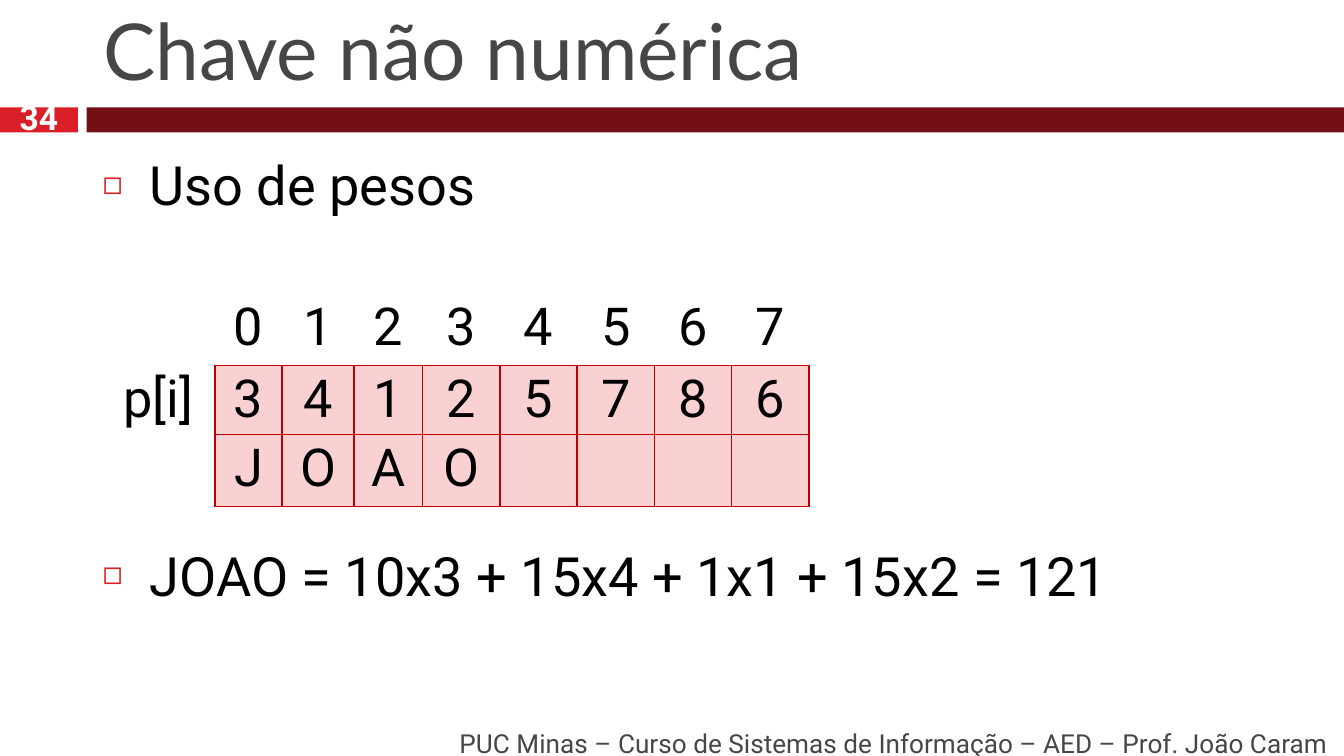
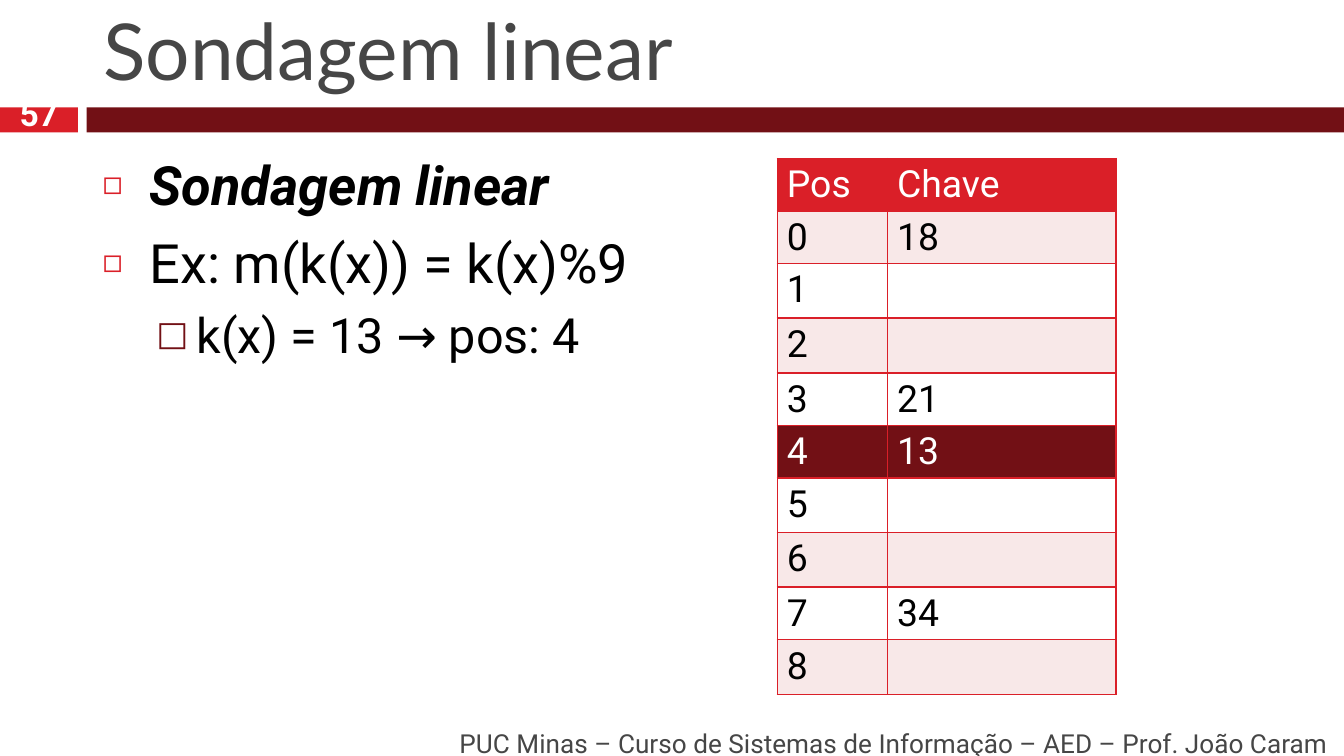
import pptx
import pptx.dml.color
import pptx.enum.shapes
import pptx.enum.text
import pptx.oxml.ns
import pptx.util
from lxml import etree

Pt = pptx.util.Pt
RGB = pptx.dml.color.RGBColor
ALIGN = pptx.enum.text.PP_ALIGN
ANCHOR = pptx.enum.text.MSO_ANCHOR
qn = pptx.oxml.ns.qn

RED = RGB(0xDA, 0x1F, 0x28)
WINE = RGB(0x72, 0x10, 0x15)
CRIMSON = RGB(0xC0, 0x00, 0x00)
PINK = RGB(0xF9, 0xD1, 0xD3)
BLUSH = RGB(0xF8, 0xE8, 0xE8)
GRAY = RGB(0x46, 0x46, 0x46)
BLACK = RGB(0x00, 0x00, 0x00)
WHITE = RGB(0xFF, 0xFF, 0xFF)

HEADING_FONT, BODY_FONT = "Lato", "Roboto"
FOOTER = "PUC Minas – Curso de Sistemas de Informação – AED – Prof. João Caram"
NO_GRID_STYLE = "{2D5ABB26-0587-4C30-8999-92F81FD0307C}"

# Square grid: 100 columns across the slide, 56.25 rows down
COLUMNS, ROWS = 100, 56.25
UNIT = pptx.util.Inches(0.1)

BULLETS = [
    dict(char="◻", color=RED, percent=60, left=3.5, hang=3.5, size=29, space=7),
    dict(char="□", color=WINE, percent=70, left=7, hang=3, size=26, space=5.5),
]
SIDES = {"a:lnL": (0, -1), "a:lnR": (0, 1), "a:lnT": (-1, 0), "a:lnB": (1, 0)}


def grid(*lengths):
    return [round(n * UNIT) for n in lengths]


def apply(obj, formats):
    for name, value in formats.items():
        setattr(obj, name, value)


def add_xml(parent, tag, **attributes):
    child = etree.SubElement(parent, qn(tag))
    for name, value in attributes.items():
        child.set(name, str(value))
    return child


class Deck:
    """Holds the style of the lecture and the slide being filled."""

    def __init__(self):
        self.prs = pptx.Presentation()
        self.prs.slide_width, self.prs.slide_height = grid(COLUMNS, ROWS)
        self.s = None

    def slide(self, number, title, number_spacing=None):
        self.s = self.prs.slides.add_slide(self.prs.slide_layouts[6])
        self.band(0, 5.8, RED)
        self.band(6.45, COLUMNS - 6.45, WINE)
        self.text((6.7, 1.25, 92.2, 6.4), title, 42, GRAY,
                  anchor=ANCHOR.BOTTOM, font=HEADING_FONT)
        self.text((10.6, 53.8, 89.2, 3), FOOTER, 14, GRAY,
                  paragraph={"alignment": ALIGN.RIGHT})
        self.text((0, 7.7, 5.8, 2), number, 18, WHITE, bold=True,
                  paragraph={"alignment": ALIGN.CENTER,
                             "line_spacing": number_spacing})

    def band(self, left, width, color):
        sp = self.s.shapes.add_shape(
            pptx.enum.shapes.MSO_SHAPE.RECTANGLE, *grid(left, 8, width, 1.85))
        sp.shadow.inherit = False
        sp.fill.solid()
        sp.fill.fore_color.rgb = color
        sp.line.fill.background()

    def box(self, place, anchor):
        tf = self.s.shapes.add_textbox(*grid(*place)).text_frame
        apply(tf, {"word_wrap": True, "vertical_anchor": anchor})
        return tf

    def run(self, p, text, size, color, font=BODY_FONT, **formats):
        r = p.add_run()
        r.text = text
        apply(r.font, {"name": font, "size": Pt(size), **formats})
        r.font.color.rgb = color

    def text(self, place, text, size, color, anchor=ANCHOR.MIDDLE,
             paragraph=None, **formats):
        p = self.box(place, anchor).paragraphs[0]
        apply(p, paragraph or {})
        self.run(p, text, size, color, **formats)

    def bullets(self, items):
        """Each item is (level, text, format), where format may set a gap."""
        tf = self.box((6.65, 10.8, 92.2, 42.5), ANCHOR.TOP)
        for i, (level, text, formats) in enumerate(items):
            p = tf.add_paragraph() if i else tf.paragraphs[0]
            style = BULLETS[level]
            pPr = p._p.get_or_add_pPr()
            left, hang = grid(style["left"], style["hang"])
            pPr.set("marL", str(left))
            pPr.set("indent", str(-hang))
            add_xml(add_xml(pPr, "a:buClr"), "a:srgbClr", val=style["color"])
            add_xml(pPr, "a:buSzPct", val=style["percent"] * 1000)
            add_xml(pPr, "a:buFont", typeface=BODY_FONT)
            add_xml(pPr, "a:buChar", char=style["char"])
            gap = formats.pop("gap", style["space"])
            apply(p, {"level": level, "space_before": Pt(gap if i else 0)})
            self.run(p, text, style["size"], BLACK, **formats)

    def table(self, left, top, widths, heights, rows, size, border, look, align):
        """look(row, column) gives the fill, or None, and the text colour."""
        shape = self.s.shapes.add_table(
            len(rows), len(widths),
            *grid(left, top, sum(widths), sum(heights)))
        tbl = shape.table
        apply(tbl, {"first_row": False, "horz_banding": False})
        tbl._tbl.tblPr.find(qn("a:tableStyleId")).text = NO_GRID_STYLE
        for column, width in zip(tbl.columns, grid(*widths)):
            column.width = width
        for row, height in zip(tbl.rows, grid(*heights)):
            row.height = height

        def filled(i, j):
            inside = 0 <= i < len(rows) and 0 <= j < len(widths)
            return inside and look(i, j)[0] is not None

        for i, row in enumerate(rows):
            for j, text in enumerate(row):
                cell = tbl.cell(i, j)
                fill, color = look(i, j)
                margins = grid(0.7, 0.5, 0.7, 0.3)
                names = "margin_left", "margin_top", "margin_right", "margin_bottom"
                apply(cell, dict(zip(names, margins)))
                for tag, (down, across) in SIDES.items():
                    if filled(i, j) or filled(i + down, j + across):
                        ln = add_xml(cell._tc.get_or_add_tcPr(), tag, w=Pt(1))
                        add_xml(add_xml(ln, "a:solidFill"), "a:srgbClr", val=border)
                if fill is None:
                    cell.fill.background()
                else:
                    cell.fill.solid()
                    cell.fill.fore_color.rgb = fill
                if text:
                    p = cell.text_frame.paragraphs[0]
                    apply(p, {"alignment": align, "line_spacing": 0.93})
                    self.run(p, text, size, color)


def weights_slide(deck):
    deck.slide("34", "Chave não numérica")
    deck.bullets([
        (0, "Uso de pesos", {}),
        (0, "JOAO = 10x3 + 15x4 + 1x1 + 15x2 = 121", {"gap": 174.5}),
    ])
    rows = [["", *"01234567"], ["p[i]", *"34125786"], ["", *"JOAO", *[""] * 4]]

    def look(i, j):
        return (PINK if i and j else None), BLACK

    deck.table(7.6, 21.8, [8.4, 5, 5.35, 5.1] + [5.75] * 5, [5.4, 5.1, 5.35],
               rows, 28, CRIMSON, look, ALIGN.CENTER)


def probing_slide(deck):
    deck.slide("57", "Sondagem linear", number_spacing=0.8)
    deck.bullets([
        (0, "Sondagem linear", {"bold": True, "italic": True}),
        (0, "Ex: m(k(x)) = k(x)%9", {}),
        (1, "k(x) = 13 → pos: 4", {}),
    ])
    keys = {0: "18", 3: "21", 4: "13", 7: "34"}
    rows = [["Pos", "Chave"]] + [[str(n), keys.get(n, "")] for n in range(9)]
    inserted = 4

    def look(i, j):
        if i == 0:
            return RED, WHITE
        if i - 1 == inserted:
            return WINE, WHITE
        return (BLUSH if i % 2 else WHITE), BLACK

    heights = [3.84 if key else 4.07 for _, key in rows]
    deck.table(57.85, 11.8, [8.2, 17], heights, rows, 20, RED, look, ALIGN.LEFT)


def main():
    deck = Deck()
    weights_slide(deck)
    probing_slide(deck)
    deck.prs.save("out.pptx")


if __name__ == "__main__":
    main()
